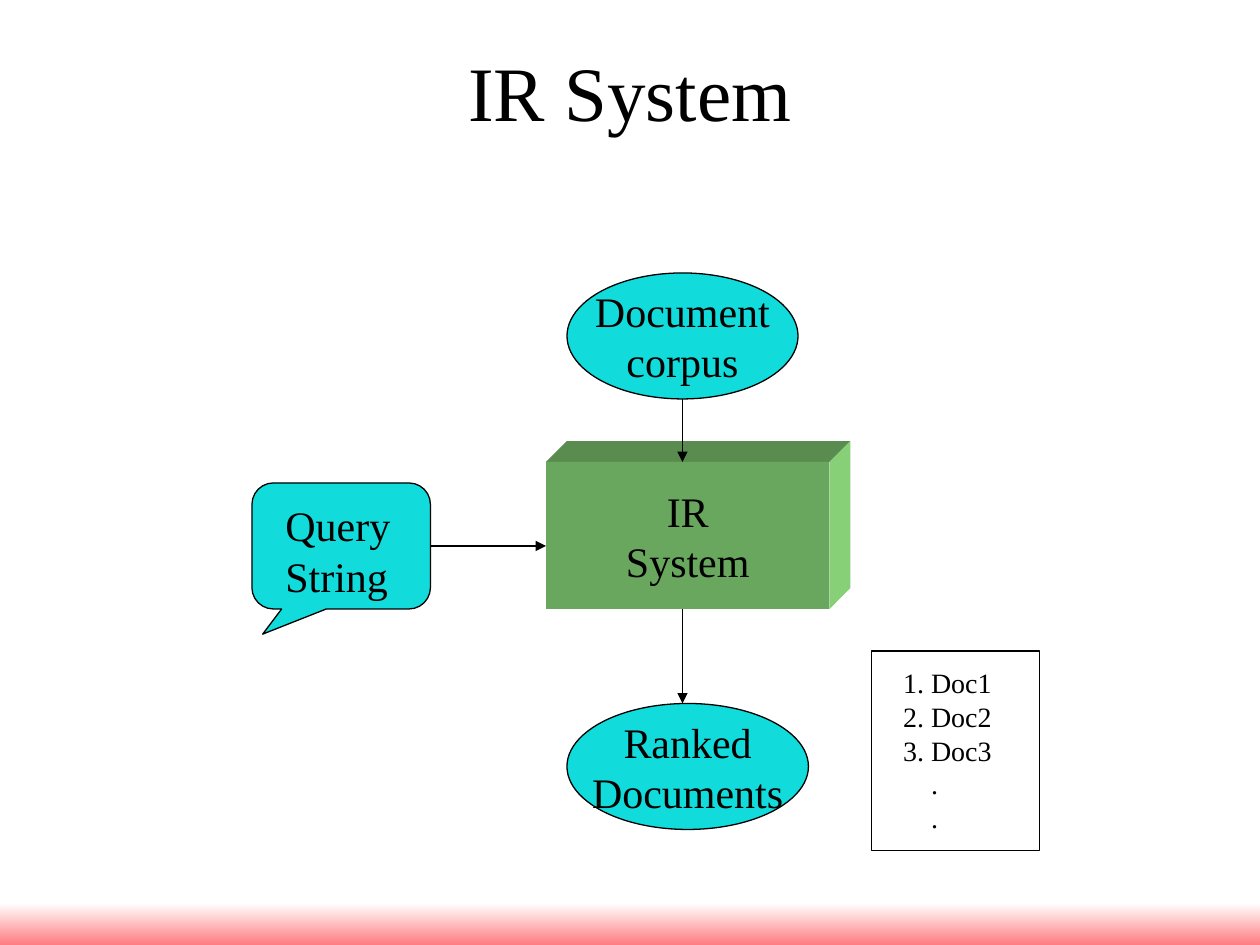
from collections import namedtuple
from dataclasses import dataclass

from lxml import etree
from pptx import Presentation
from pptx.dml.color import RGBColor
from pptx.enum import shapes, text
from pptx.oxml.ns import qn
from pptx.util import Pt

Box = namedtuple("Box", "x y w h")


@dataclass(frozen=True)
class Theme:
    font: str = "Times New Roman"
    ink: str = "000000"
    paper: str = "FFFFFF"
    accent: str = "11DBDB"
    block_front: str = "6AA75E"
    block_top: str = "5A8C4F"
    block_side: str = "87D078"
    footer: str = "FF7C80"
    title_size: int = 44
    label_size: int = 24
    list_size: int = 16
    line_width: float = 0.75


THEME = Theme()
MIDDLE = {"vertical_anchor": text.MSO_ANCHOR.MIDDLE, "word_wrap": False}
TOP = {"vertical_anchor": text.MSO_ANCHOR.TOP, "word_wrap": True}


def rgb(value):
    return RGBColor.from_string(value)


def set_attributes(target, values):
    for key, value in values.items():
        setattr(target, key, value)


def points(box):
    return [Pt(length) for length in box]


def paint(part, fill, outlined=True):
    part.shadow.inherit = False
    part.fill.solid()
    part.fill.fore_color.rgb = rgb(fill)
    if outlined:
        part.line.color.rgb = rgb(THEME.ink)
        part.line.width = Pt(THEME.line_width)
    else:
        part.line.fill.background()
    return part


def add_part(slide, kind, box, fill, outlined=True):
    return paint(slide.shapes.add_shape(kind, *points(box)), fill, outlined)


def write(part, lines, size, frame_format, align):
    frame = part.text_frame
    set_attributes(frame, {"auto_size": text.MSO_AUTO_SIZE.NONE, **frame_format})
    frame.text = "\n".join(lines)
    for paragraph in frame.paragraphs:
        paragraph.alignment = align
        set_attributes(paragraph.font, {"name": THEME.font, "size": Pt(size)})
        paragraph.font.color.rgb = rgb(THEME.ink)
    return frame


def add_arrow(slide, start, end):
    arrow = slide.shapes.add_connector(
        shapes.MSO_CONNECTOR.STRAIGHT, *points(start + end)
    )
    arrow.line.color.rgb = rgb(THEME.ink)
    arrow.line.width = Pt(THEME.line_width)
    etree.SubElement(arrow.line._get_or_add_ln(), qn("a:tailEnd"), type="triangle")
    etree.SubElement(arrow._element.spPr, qn("a:effectLst"))
    return arrow


def add_footer(slide, box):
    band = add_part(slide, shapes.MSO_SHAPE.RECTANGLE, box, THEME.paper, False)
    band.fill.gradient()
    band.fill.gradient_angle = 270
    for stop, colour in zip(band.fill.gradient_stops, (THEME.paper, THEME.footer)):
        stop.color.rgb = rgb(colour)


def add_title(slide, box, heading):
    title = slide.shapes.title
    set_attributes(title, dict(zip(("left", "top", "width", "height"), points(box))))
    write(title, [heading], THEME.title_size, TOP, text.PP_ALIGN.CENTER)


def add_system(slide, box, lines, depth=12):
    right, bottom = box.x + box.w, box.y + box.h
    top_face = [
        (box.x, box.y), (box.x + depth, box.y - depth),
        (right + depth, box.y - depth), (right, box.y),
    ]
    side_face = [
        (right, box.y), (right + depth, box.y - depth),
        (right + depth, bottom - depth), (right, bottom),
    ]
    for face, colour in ((top_face, THEME.block_top), (side_face, THEME.block_side)):
        corners = [points(corner) for corner in face]
        outline = slide.shapes.build_freeform(*corners[0])
        outline.add_line_segments(corners[1:], close=True)
        paint(outline.convert_to_shape(), colour, False)
    front = add_part(
        slide, shapes.MSO_SHAPE.RECTANGLE, box, THEME.block_front, False
    )
    write(front, lines, THEME.label_size, MIDDLE, text.PP_ALIGN.CENTER)


def add_query(slide, box, label, reach):
    bubble = add_part(
        slide, shapes.MSO_SHAPE.ROUNDED_RECTANGULAR_CALLOUT, box, THEME.accent
    )
    for index, value in enumerate((-0.44, 0.7, 0.17)):
        bubble.adjustments[index] = value
    caption = slide.shapes.add_textbox(*points((box.x + 12, box.y + 6, 80, 65)))
    write(caption, [label], THEME.label_size, TOP, text.PP_ALIGN.LEFT)
    right, middle = box.x + box.w, box.y + box.h / 2
    arrow = add_arrow(slide, (right, middle), (right + reach, middle))
    arrow.begin_connect(bubble, 3)


def add_documents(slide, box, lines):
    oval = add_part(slide, shapes.MSO_SHAPE.OVAL, box, THEME.accent)
    write(oval, lines, THEME.label_size, MIDDLE, text.PP_ALIGN.CENTER)


def add_ranking(slide, box, entries):
    add_part(slide, shapes.MSO_SHAPE.RECTANGLE, box, THEME.paper)
    ranking = slide.shapes.add_textbox(*points((box.x + 11, box.y + 5, 65, 125)))
    frame = write(
        ranking, entries, THEME.list_size,
        {**TOP, "word_wrap": False}, text.PP_ALIGN.LEFT,
    )
    for paragraph in frame.paragraphs:
        first_line = -20 if paragraph.text == "." else -36
        properties = paragraph._p.get_or_add_pPr()
        properties.set("marL", str(Pt(36)))
        properties.set("indent", str(Pt(first_line)))


def main():
    deck = Presentation()
    set_attributes(deck, {"slide_width": Pt(720), "slide_height": Pt(540)})
    slide = deck.slides.add_slide(deck.slide_layouts[5])

    corpus = Box(324, 156, 132, 72)
    system = Box(312, 264, 162, 84)
    query = Box(144, 276, 102, 72)
    ranked = Box(324, 402, 138, 72)
    axis = corpus.x + corpus.w / 2

    add_footer(slide, Box(0, 516, 720, 24))
    add_title(slide, Box(36, 22, 648, 90), "IR System")
    add_system(slide, system, ["IR", "System"])
    add_query(slide, query, "Query String", system.x - query.x - query.w)
    add_documents(slide, corpus, ["Document", "corpus"])
    add_documents(slide, ranked, ["Ranked", "Documents"])
    for upper, lower in ((corpus, system), (system, ranked)):
        add_arrow(slide, (axis, upper.y + upper.h), (axis, lower.y))
    add_ranking(
        slide, Box(498, 372, 96, 114), ["1. Doc1", "2. Doc2", "3. Doc3", ".", "."]
    )
    deck.save("out.pptx")


if __name__ == "__main__":
    main()
